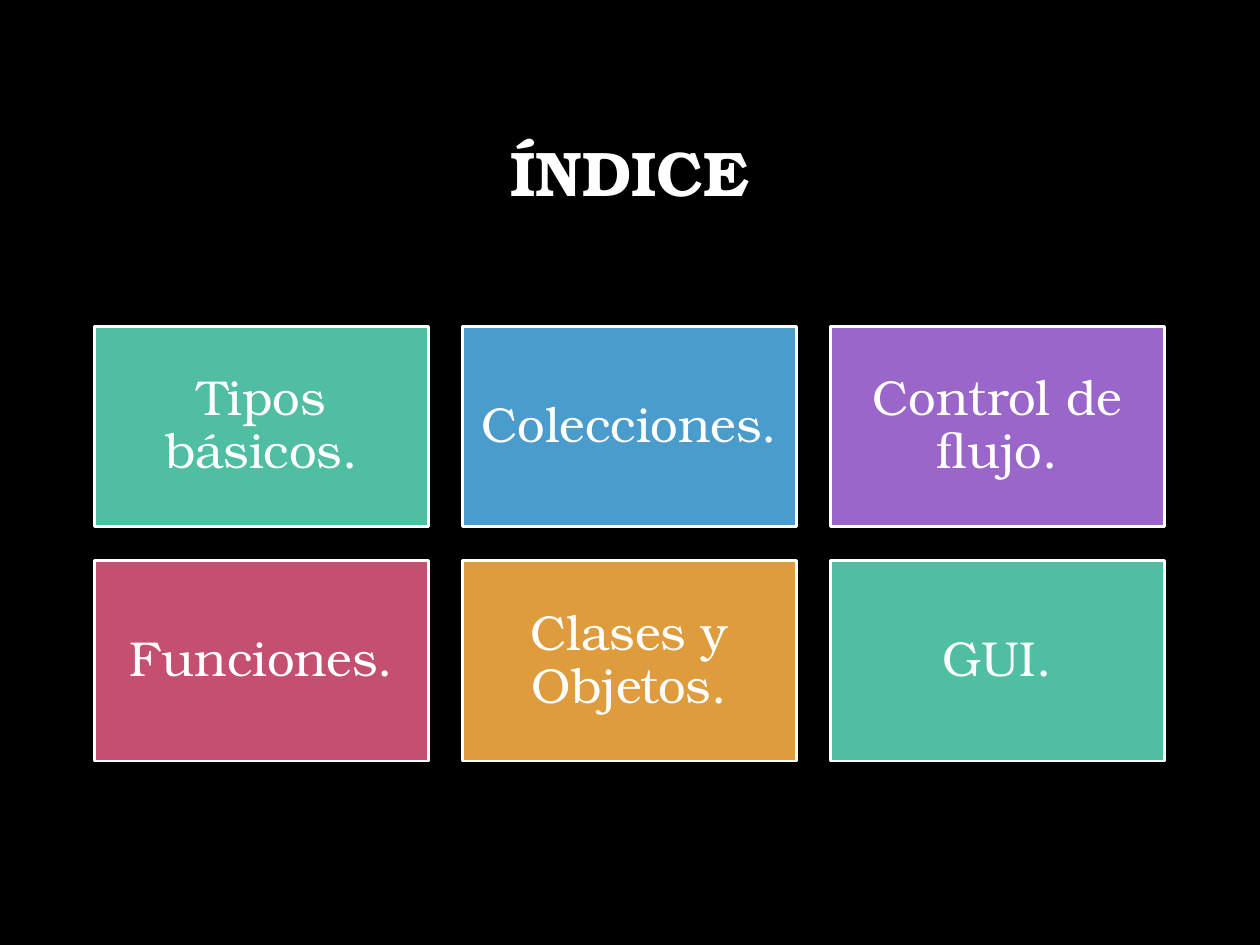
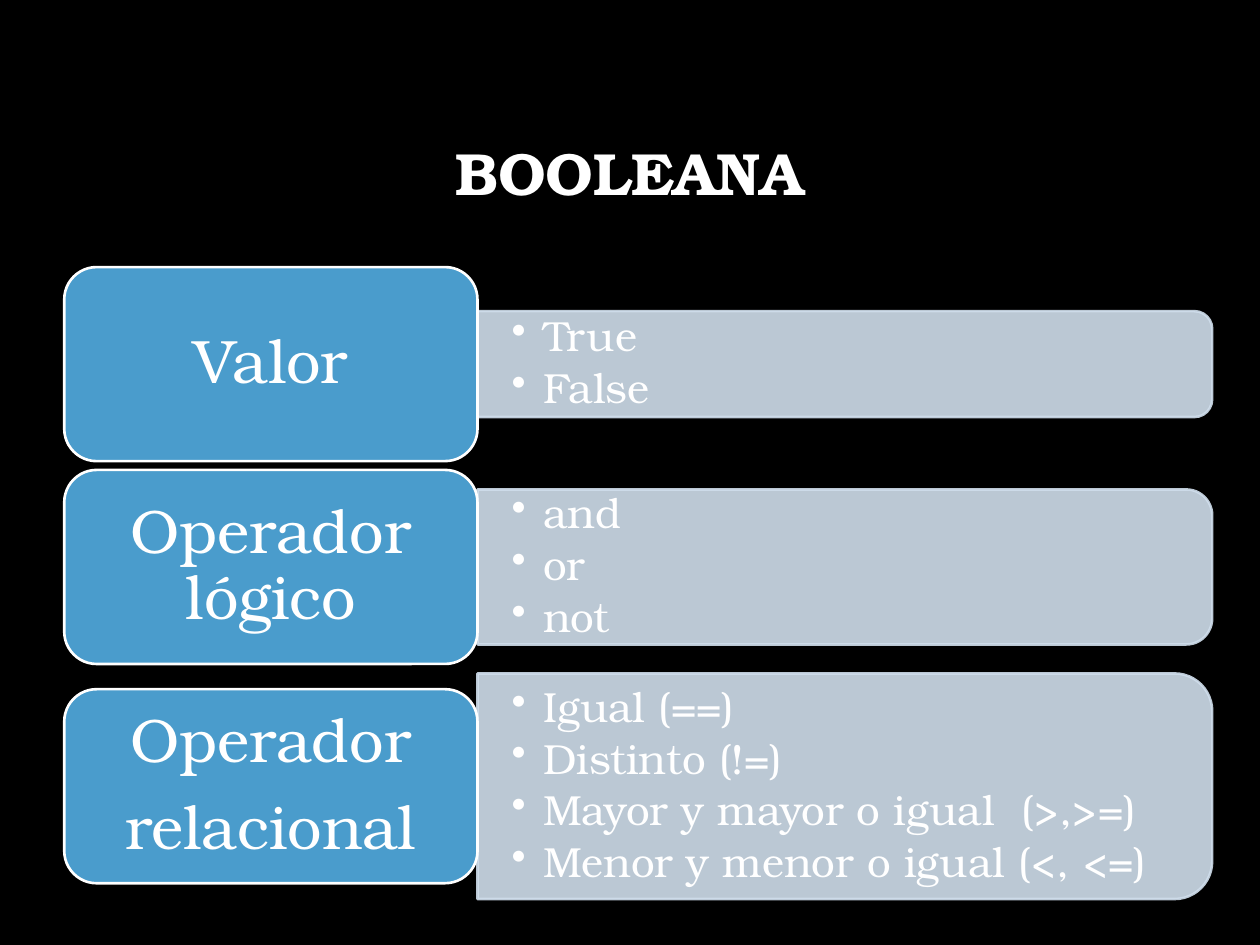
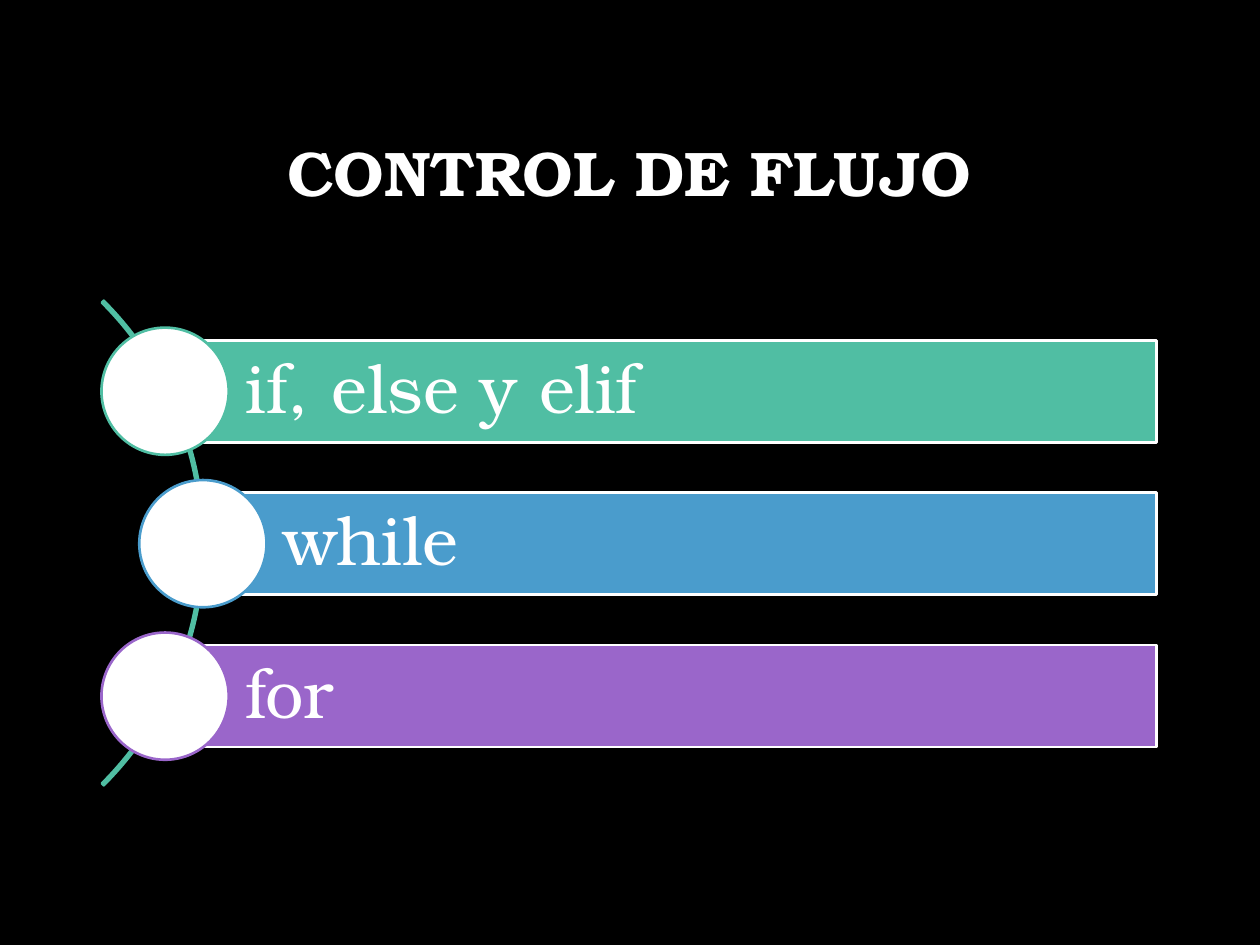
from lxml.etree import SubElement
from pptx import Presentation
from pptx.dml.color import RGBColor
from pptx.enum.shapes import MSO_SHAPE
from pptx.enum.text import MSO_ANCHOR, PP_ALIGN
from pptx.oxml.ns import qn
from pptx.util import Inches, Pt

BLACK = RGBColor(0x00, 0x00, 0x00)
WHITE = RGBColor(0xFF, 0xFF, 0xFF)
GREEN = RGBColor(0x50, 0xBE, 0xA3)
BLUE = RGBColor(0x4A, 0x9C, 0xCC)
PURPLE = RGBColor(0x9A, 0x66, 0xCA)
ROSE = RGBColor(0xC5, 0x4F, 0x71)
ORANGE = RGBColor(0xDE, 0x9C, 0x3C)
PALE = RGBColor(0xD0, 0xDE, 0xEC)

FONT = "TeX Gyre Bonum"
LINE_SPACING = 0.9
BULLET_INDENT = Inches(0.25)

TOPICS = [
    ("Tipos básicos.", GREEN),
    ("Colecciones.", BLUE),
    ("Control de flujo.", PURPLE),
    ("Funciones.", ROSE),
    ("Clases y Objetos.", ORANGE),
    ("GUI.", GREEN),
]
BOOLEAN_ROWS = [
    (2.12, 0.84, ["Valor"], ["True", "False"]),
    (3.73, 1.23, ["Operador lógico"], ["and", "or", "not"]),
    (5.47, 1.79, ["Operador", "relacional"],
     ["Igual (==)", "Distinto (!=)", "Mayor y mayor o igual  (>,>=)",
      "Menor y menor o igual (<, <=)"]),
]
STATEMENTS = [
    ("if, else y elif", GREEN, 1.31),
    ("while", BLUE, 1.61),
    ("for", PURPLE, 1.31),
]


def set_format(target, values):
    for name, value in values.items():
        setattr(target, name, value)


def add_page(deck, title, size=36):
    page = deck.slides.add_slide(deck.slide_layouts[6])
    page.background.fill.solid()
    page.background.fill.fore_color.rgb = BLACK
    box = page.shapes.add_textbox(Inches(0.75), Inches(0.67), Inches(8.49), Inches(1.45))
    write(box, [title], size, (0.1, 0.05, 0.1, 0.05), bold=True)
    return page


def add_bullet(para):
    para.level = 1
    properties = para._p.get_or_add_pPr()
    properties.set("marL", str(BULLET_INDENT))
    properties.set("indent", str(-BULLET_INDENT))
    SubElement(properties, qn("a:buChar")).set("char", "•")


def write(box, lines, size, insets, align=PP_ALIGN.CENTER, after=0.0, bold=False, bullets=False):
    frame = box.text_frame
    left, top, right, bottom = map(Inches, insets)
    set_format(frame, {
        "word_wrap": True, "vertical_anchor": MSO_ANCHOR.MIDDLE,
        "margin_left": left, "margin_top": top,
        "margin_right": right, "margin_bottom": bottom,
    })
    for index, line in enumerate(lines):
        para = frame.add_paragraph() if index else frame.paragraphs[0]
        set_format(para, {
            "alignment": align, "line_spacing": LINE_SPACING,
            "space_before": Pt(0), "space_after": Pt(size * after),
        })
        if bullets:
            add_bullet(para)
        span = para.add_run()
        span.text = line
        set_format(span.font, {"name": FONT, "size": Pt(size), "bold": bold})
        span.font.color.rgb = WHITE


def add_block(page, kind, place, fill, line=WHITE):
    shape = page.shapes.add_shape(kind, *map(Inches, place))
    shape.shadow.inherit = False
    if fill is None:
        shape.fill.background()
    else:
        shape.fill.solid()
        shape.fill.fore_color.rgb = fill
    shape.line.color.rgb = line
    shape.line.width = Pt(1.5)
    return shape


def add_detail_panel(page, left, middle, width, height, items):
    place = (left + (width - height) / 2, middle - width / 2, height, width)
    panel = add_block(page, MSO_SHAPE.ROUND_2_SAME_RECTANGLE, place, PALE, PALE)
    panel.rotation = 90
    for color in panel._element.spPr.iter(qn("a:srgbClr")):
        SubElement(color, qn("a:alpha")).set("val", "90000")
    box = page.shapes.add_textbox(
        Inches(left), Inches(middle - height / 2), Inches(width - 0.05), Inches(height))
    write(box, items, 24, (0.27, 0.14, 0.27, 0.14), PP_ALIGN.LEFT, 0.15, bullets=True)


def add_statement(page, text, color, left, top):
    bar_height, circle = 0.81, 1.01
    bar = add_block(page, MSO_SHAPE.RECTANGLE, (left, top, 9.18 - left, bar_height), color)
    write(bar, [text], 39, (0.64, 0.11, 0.11, 0.11), PP_ALIGN.LEFT, 0.35)
    place = (left - circle / 2, top + (bar_height - circle) / 2, circle, circle)
    add_block(page, MSO_SHAPE.OVAL, place, WHITE, color)


def build_index(deck):
    page = add_page(deck, "ÍNDICE")
    for index, (topic, color) in enumerate(TOPICS):
        row, column = divmod(index, 3)
        place = (0.75 + column * 2.92, 2.59 + row * 1.86, 2.65, 1.59)
        tile = add_block(page, MSO_SHAPE.RECTANGLE, place, color)
        write(tile, [topic], 28, (0.12,) * 4, after=0.35)


def build_boolean(deck):
    page = add_page(deck, "BOOLEANA", 34)
    left, width, height = 0.51, 3.28, 1.54
    for top, panel_height, label, items in BOOLEAN_ROWS:
        add_detail_panel(page, left + width, top + height / 2, 5.83, panel_height, items)
        box = add_block(page, MSO_SHAPE.ROUNDED_RECTANGLE, (left, top, width, height), BLUE)
        write(box, label, 35, (0.15, 0.07, 0.15, 0.07), after=0.35)


def build_flow(deck):
    page = add_page(deck, "CONTROL DE FLUJO")
    arc = add_block(page, MSO_SHAPE.BLOCK_ARC, (-3.82, 1.59, 5.44, 5.44), None, GREEN)
    for index, value in enumerate((189, 27, 0.004)):
        arc.adjustments[index] = value
    for index, (text, color, left) in enumerate(STATEMENTS):
        add_statement(page, text, color, left, 2.7 + index * 1.21)


def main():
    deck = Presentation()
    set_format(deck, {"slide_width": Inches(10), "slide_height": Inches(7.5)})
    build_index(deck)
    build_boolean(deck)
    build_flow(deck)
    deck.save("out.pptx")


if __name__ == "__main__":
    main()
